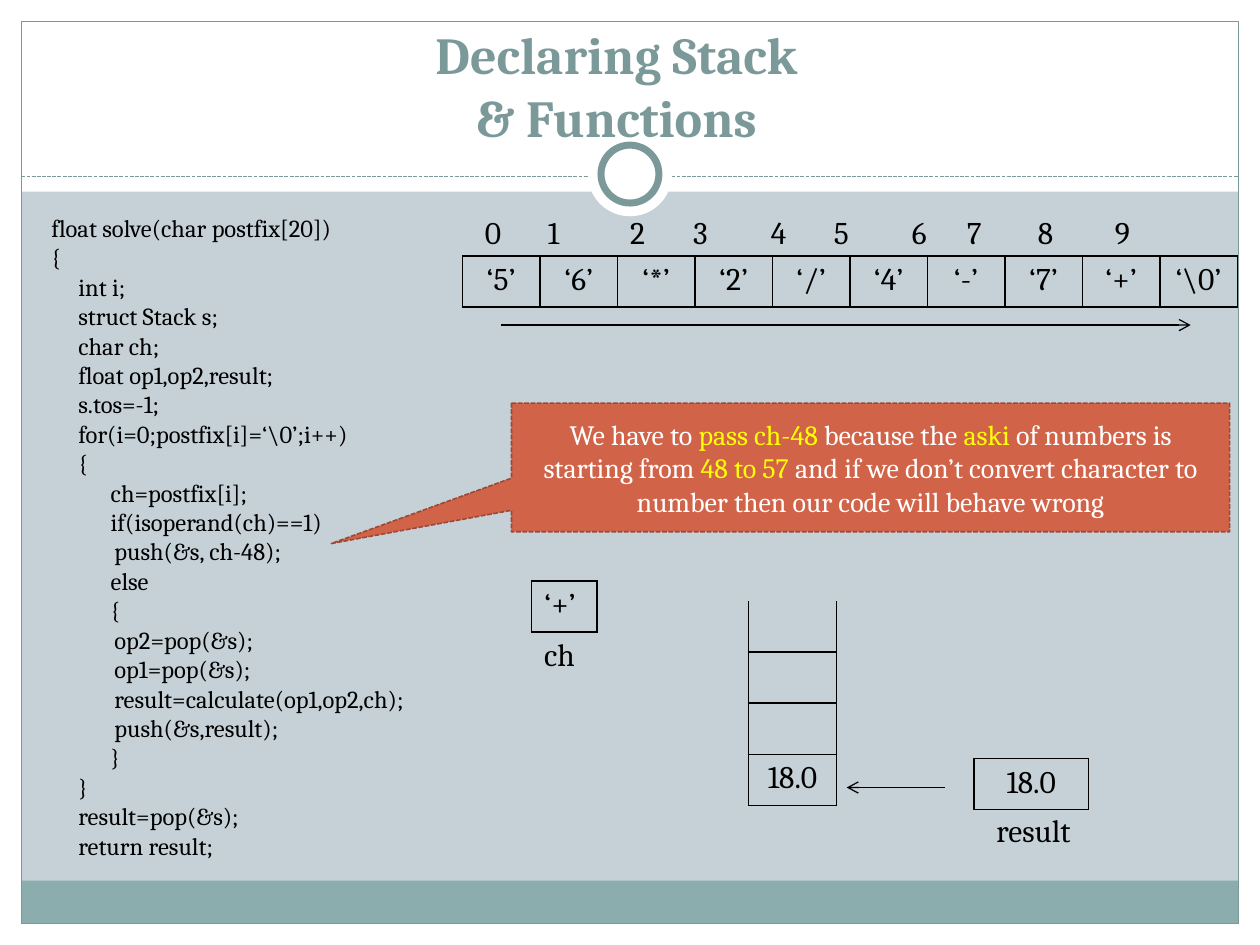
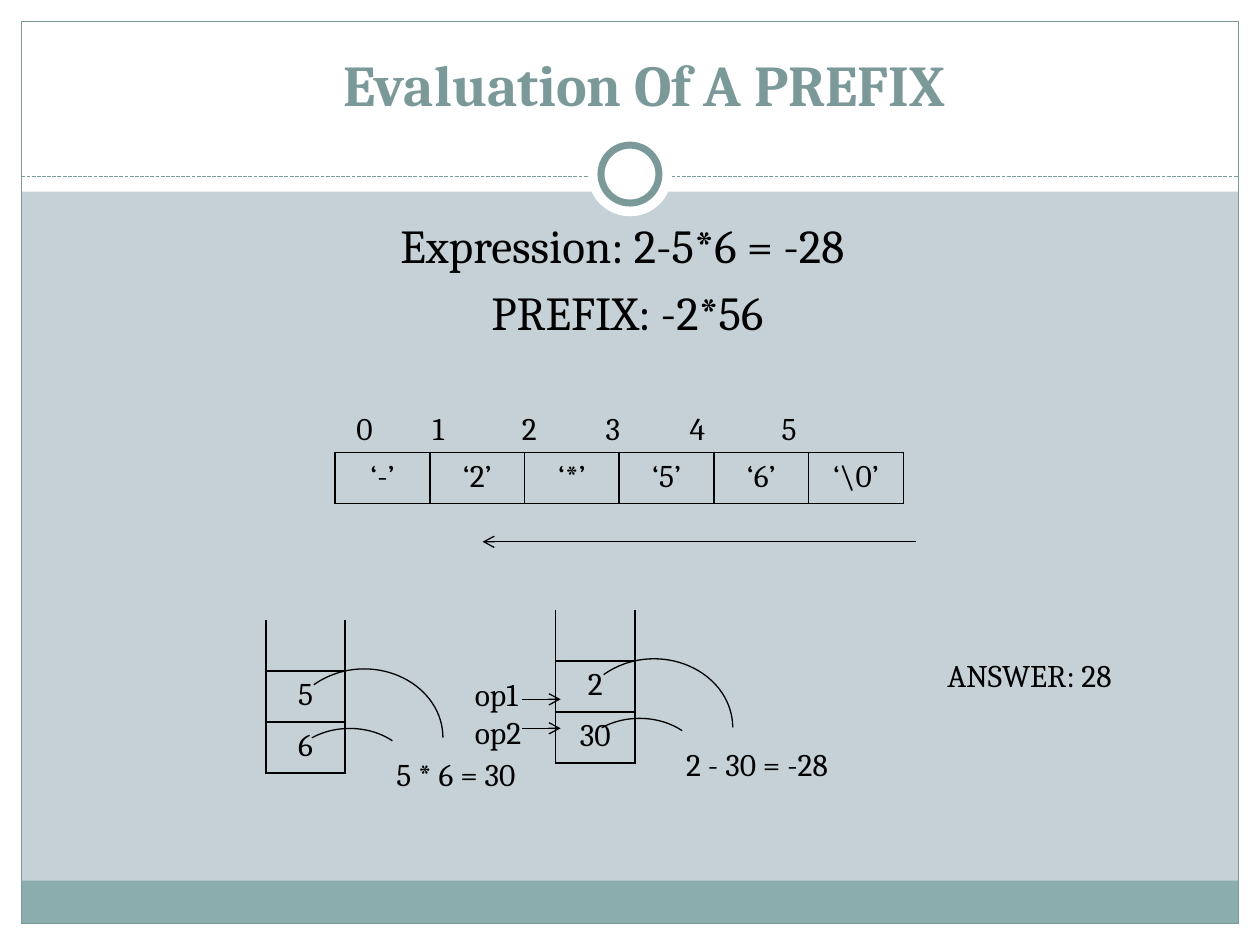
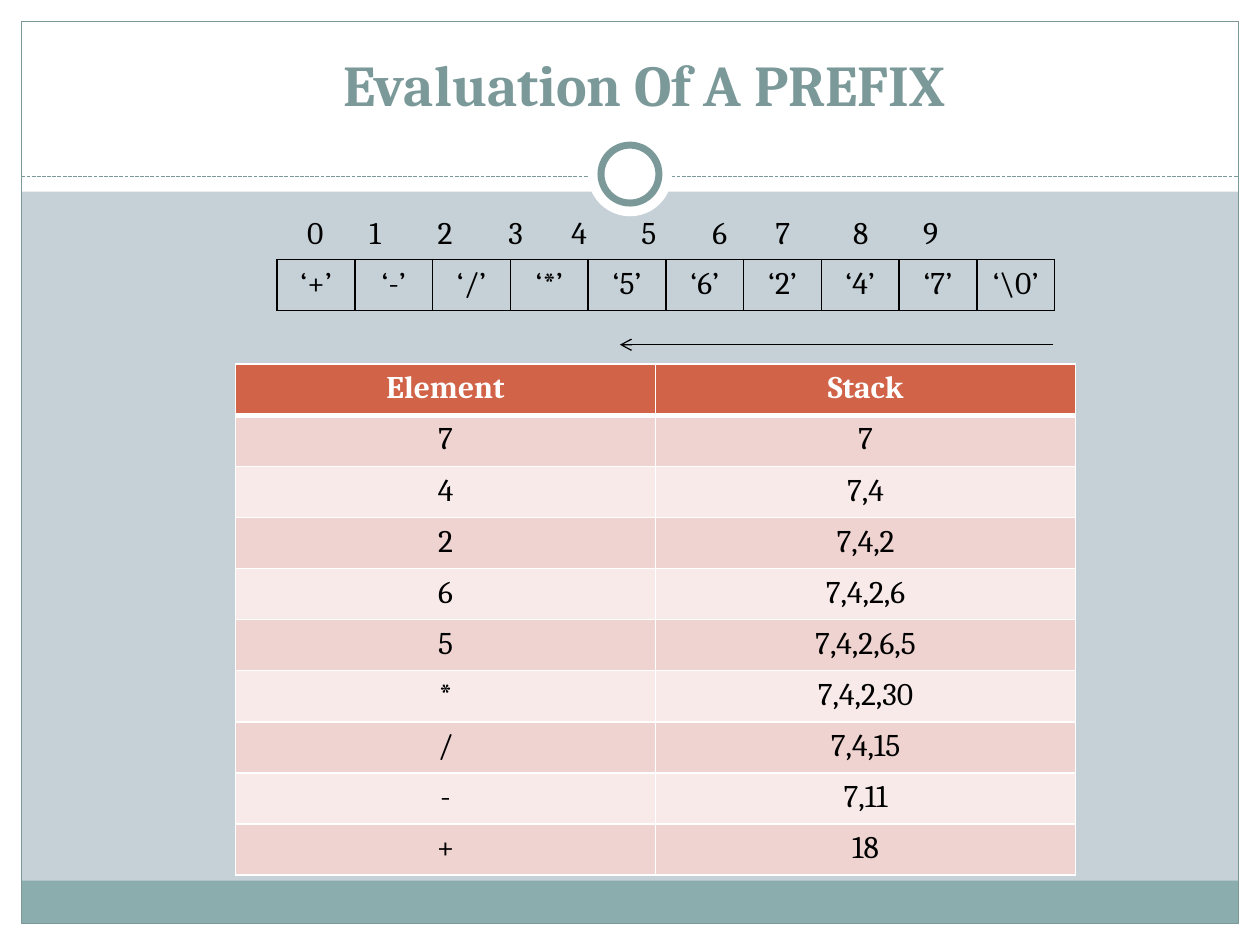
from lxml.etree import SubElement
from pptx import Presentation
from pptx.dml.color import RGBColor
from pptx.enum.dml import MSO_LINE
from pptx.enum.shapes import MSO_CONNECTOR, MSO_SHAPE
from pptx.enum.text import MSO_ANCHOR as Anchor, PP_ALIGN as Align
from pptx.oxml.ns import qn
from pptx.util import Pt

FONT = "Cambria"
WHITE, BLACK, YELLOW = "FFFFFF", "000000", "FFFF00"
BACK, BAND, TEAL = "C5D1D7", "8CADAE", "7C999A"
RUST, RUST_DARK, PINK, PALE = "D16349", "9B4936", "EED3D0", "F7EAE9"
WIDTH, HEIGHT, MARGIN, HEAD = 720, 540, 12.24, 109.5
CELL_H = 29.2

CODE = r"""float solve(char postfix[20])
{
     int i;
     struct Stack s;
     char ch;
     float op1,op2,result;
     s.tos=-1;
     for(i=0;postfix[i]=‘\0’;i++)
     {
           ch=postfix[i];
           if(isoperand(ch)==1)
	push(&s, ch-48);
           else
           {
	op2=pop(&s);
	op1=pop(&s);
	result=calculate(op1,op2,ch);
	push(&s,result);
           }
     }
     result=pop(&s);
     return result;""".split("\n")

WARNING = [
    ("We have to ", WHITE), ("pass ch-48 ", YELLOW), ("because the ", WHITE),
    ("aski", YELLOW), (" of numbers is starting from ", WHITE), ("48 to 57 ", YELLOW),
    ("and if we don’t convert character to number then our code will behave wrong", WHITE),
]

POSTFIX = ["5", "6", "*", "2", "/", "4", "-", "7", "+", r"\0"]
POSTFIX_STOPS = [36, 83, 119, 163.5, 199.5, 244, 275.5, 316, 360]
SHORT_PREFIX = ["-", "2", "*", "5", "6", r"\0"]
SHORT_STOPS = [43.5, 94.5, 142.5, 190.5, 243]
LONG_PREFIX = ["+", "-", "/", "*", "5", "6", "2", "4", "7", r"\0"]
LONG_STOPS = [35.5, 74.5, 115, 151, 191, 231.5, 267.5, 312, 352]

EXPRESSION = ["Expression: 2-5*6 = -28 ", "PREFIX: -2*56"]
STEPS = [
    (151.92, 354.24, ["", "5", "6"], "5 * 6 = 30", 93.6),
    (317.52, 348.48, ["", "2", "30"], "2 - 30 = -28", 109.5),
]
TRACE = [
    ("Element", "Stack"), ("7", "7"), ("4", "7,4"), ("2", "7,4,2"), ("6", "7,4,2,6"),
    ("5", "7,4,2,6,5"), ("*", "7,4,2,30"), ("/", "7,4,15"), ("-", "7,11"), ("+", "18"),
]


def rgb(color):
    return RGBColor.from_string(color)


def style_run(r, size, color, bold=False):
    r.font.name, r.font.size, r.font.bold = FONT, Pt(size), bold
    r.font.color.rgb = rgb(color)


def write(tf, lines, size=18, color=BLACK, bold=False, align=Align.LEFT, gap=0):
    for i, line in enumerate(lines):
        p = tf.add_paragraph() if i else tf.paragraphs[0]
        p.text, p.alignment = line, align
        if i and gap:
            p.space_before = Pt(gap)
        for r in p.runs:
            style_run(r, size, color, bold)


def add_text(s, x, y, w, h, lines, wrap=False, anchor=Anchor.TOP, **style):
    tf = s.shapes.add_textbox(Pt(x), Pt(y), Pt(w), Pt(h)).text_frame
    tf.word_wrap, tf.vertical_anchor = wrap, anchor
    write(tf, lines, **style)
    return tf


def add_shape(s, kind, x, y, w, h, fill=None, line=None, weight=0.75):
    sp = s.shapes.add_shape(kind, Pt(x), Pt(y), Pt(w), Pt(h))
    sp.shadow.inherit = False
    if fill:
        sp.fill.solid()
        sp.fill.fore_color.rgb = rgb(fill)
    else:
        sp.fill.background()
    if line:
        sp.line.color.rgb, sp.line.width = rgb(line), Pt(weight)
    else:
        sp.line.fill.background()
    return sp


def add_line(s, x1, y1, x2, y2, color=BLACK, arrow=True):
    cn = s.shapes.add_connector(MSO_CONNECTOR.STRAIGHT, Pt(x1), Pt(y1), Pt(x2), Pt(y2))
    cn.line.color.rgb, cn.line.width = rgb(color), Pt(0.75)
    spPr = cn._element.spPr
    if arrow:
        SubElement(spPr.find(qn("a:ln")), qn("a:tailEnd"), type="arrow")
    SubElement(spPr, qn("a:effectLst"))
    return cn


def set_borders(cell, color, **widths):
    tcPr = cell._tc.get_or_add_tcPr()
    for side in "LRTB":
        width = widths.get(side, 1)
        ln = SubElement(tcPr, qn("a:ln" + side), w=str(Pt(width)))
        if width:
            SubElement(SubElement(ln, qn("a:solidFill")), qn("a:srgbClr"), val=color)
        else:
            SubElement(ln, qn("a:noFill"))


def add_grid(s, x, y, w, rows, border=BLACK, open_top=False, header=False, align=Align.CENTER):
    n, m = len(rows), len(rows[0])
    tbl = s.shapes.add_table(n, m, Pt(x), Pt(y), Pt(w), Pt(n * CELL_H)).table
    tbl.first_row, tbl.horz_banding = header, False
    for col in tbl.columns:
        col.width = Pt(w / m)
    for i, row in enumerate(rows):
        tbl.rows[i].height = Pt(CELL_H)
        top = 0 if open_top and i == 0 else 3 if header and i == 1 else 1
        is_head = header and i == 0
        for j, value in enumerate(row):
            cell = tbl.cell(i, j)
            set_borders(cell, border, T=top, B=3 if is_head else 1)
            if header:
                cell.fill.solid()
                cell.fill.fore_color.rgb = rgb(RUST if is_head else PINK if i % 2 else PALE)
            else:
                cell.fill.background()
            write(cell.text_frame, [value], color=WHITE if is_head else BLACK,
                  bold=is_head, align=align)


def add_array(s, x, y, w, symbols, label_x, label_y, label_w, stops):
    add_grid(s, x, y, w, [[f"‘{c}’" for c in symbols]])
    tf = add_text(s, label_x, label_y, label_w, 29, [""], wrap=True)
    p = tf.paragraphs[0]
    tabs = SubElement(p._p.get_or_add_pPr(), qn("a:tabLst"))
    for stop in stops:
        SubElement(tabs, qn("a:tab"), pos=str(Pt(stop)), algn="l")
    write(tf, ["\t".join(str(i) for i in range(len(stops) + 1))])


def add_stack(s, x, y, w, values):
    add_grid(s, x, y, w, [[v] for v in values], open_top=True)


def add_slide(prs, title, x, y, w, size):
    s = prs.slides.add_slide(prs.slide_layouts[6])
    inner = WIDTH - 2 * MARGIN
    rect, oval = MSO_SHAPE.RECTANGLE, MSO_SHAPE.OVAL
    for box in [(0, HEIGHT - MARGIN, WIDTH, MARGIN), (0, 0, WIDTH, HEAD),
                (0, 0, MARGIN, HEIGHT), (WIDTH - MARGIN, 0, MARGIN, HEIGHT)]:
        add_shape(s, rect, *box, fill=WHITE)
    add_shape(s, rect, MARGIN, 503.28, inner, 24.48, fill=BAND)
    add_shape(s, rect, MARGIN, MARGIN, inner, HEIGHT - 2 * MARGIN, line=TEAL)
    rule = add_line(s, MARGIN, 100.8, WIDTH - MARGIN, 100.8, TEAL, arrow=False)
    rule.line.dash_style = MSO_LINE.SQUARE_DOT
    for d, line in [(48.24, None), (33.12, TEAL)]:
        add_shape(s, oval, (WIDTH - d) / 2, 99.5 - d / 2, d, d, WHITE, line, 4)
    add_text(s, x, y, w, 59.76, [title], wrap=True, anchor=Anchor.BOTTOM,
             size=size, color=TEAL, bold=True, align=Align.CENTER)
    return s


def build_functions(prs):
    s = add_slide(prs, "Declaring Stack\v& Functions", 16.56, 28.08, 671.76, 29.7)
    add_text(s, 22.32, 118.08, 326.16, 380.16, CODE, wrap=True, size=14)

    sp = add_shape(s, MSO_SHAPE.RECTANGULAR_CALLOUT, 292.32, 230.4, 410.4, 73.44,
                   RUST, RUST_DARK, 0.9)
    sp.line.dash_style = MSO_LINE.SQUARE_DOT
    sp.adjustments[0], sp.adjustments[1] = -0.751, 0.592
    tf = sp.text_frame
    tf.word_wrap, tf.vertical_anchor = True, Anchor.MIDDLE
    p = tf.paragraphs[0]
    p.alignment = Align.CENTER
    for text, color in WARNING:
        r = p.add_run()
        r.text = text
        style_run(r, 16, color)

    add_array(s, 264.24, 146.16, 442.8, POSTFIX, 270, 118.08, 432, POSTFIX_STOPS)
    add_line(s, 286.56, 185.76, 680.4, 185.76)
    add_stack(s, 427.68, 343.44, 50.4, ["", "", "", "18.0"])
    add_grid(s, 303.84, 331.92, 37.44, [["‘+’"]], align=Align.LEFT)
    add_text(s, 303.84, 359.28, 33.12, 29, ["ch"])
    add_line(s, 540, 450, 483.84, 450)
    add_grid(s, 556.56, 433.44, 65.52, [["18.0"]])
    add_text(s, 562.32, 460.08, 60.48, 29, ["result"])


def add_prefix_slide(prs):
    return add_slide(prs, "Evaluation Of A PREFIX", 140.4, 11.52, 455.76, 33)


def build_prefix(prs):
    s = add_prefix_slide(prs)
    add_text(s, 23.76, 120.24, 669.6, 360, EXPRESSION, wrap=True, size=27,
             align=Align.CENTER, gap=5.4)
    add_array(s, 191.52, 258.48, 324.72, SHORT_PREFIX, 196.56, 230.4, 298.8, SHORT_STOPS)
    add_line(s, 523.44, 309.6, 275.76, 309.6)
    for x, y, values, result, result_w in STEPS:
        add_stack(s, x, y, 45.36, values)
        for dy, w, h, end in [(28, 90, 78.48, 0), (62, 73.44, 56.16, 191.507)]:
            arc = add_shape(s, MSO_SHAPE.ARC, x + 11.2, y + dy, w, h, line=BLACK)
            arc.adjustments[0], arc.adjustments[1] = 135.82, end
        add_text(s, x + 67.5, y + 73.44, result_w, 29, [result])
    add_text(s, 534.24, 371.52, 124.56, 29, ["ANSWER: 28"])
    add_text(s, 264.24, 382.32, 44.64, 51, ["op1", "op2"])
    for y in (399.6, 416.16):
        add_line(s, 298.08, y, 320.4, y)


def build_trace(prs):
    s = add_prefix_slide(prs)
    add_array(s, 158.4, 148.32, 444.24, LONG_PREFIX, 168.48, 118.08, 422.64, LONG_STOPS)
    add_line(s, 601.92, 197, 354.24, 197)
    add_grid(s, 134.64, 208.08, 480, TRACE, border=WHITE, header=True)


def main():
    prs = Presentation()
    prs.slide_width, prs.slide_height = Pt(WIDTH), Pt(HEIGHT)
    fill = prs.slide_master.background.fill
    fill.solid()
    fill.fore_color.rgb = rgb(BACK)
    build_functions(prs)
    build_prefix(prs)
    build_trace(prs)
    prs.save("out.pptx")


if __name__ == "__main__":
    main()
